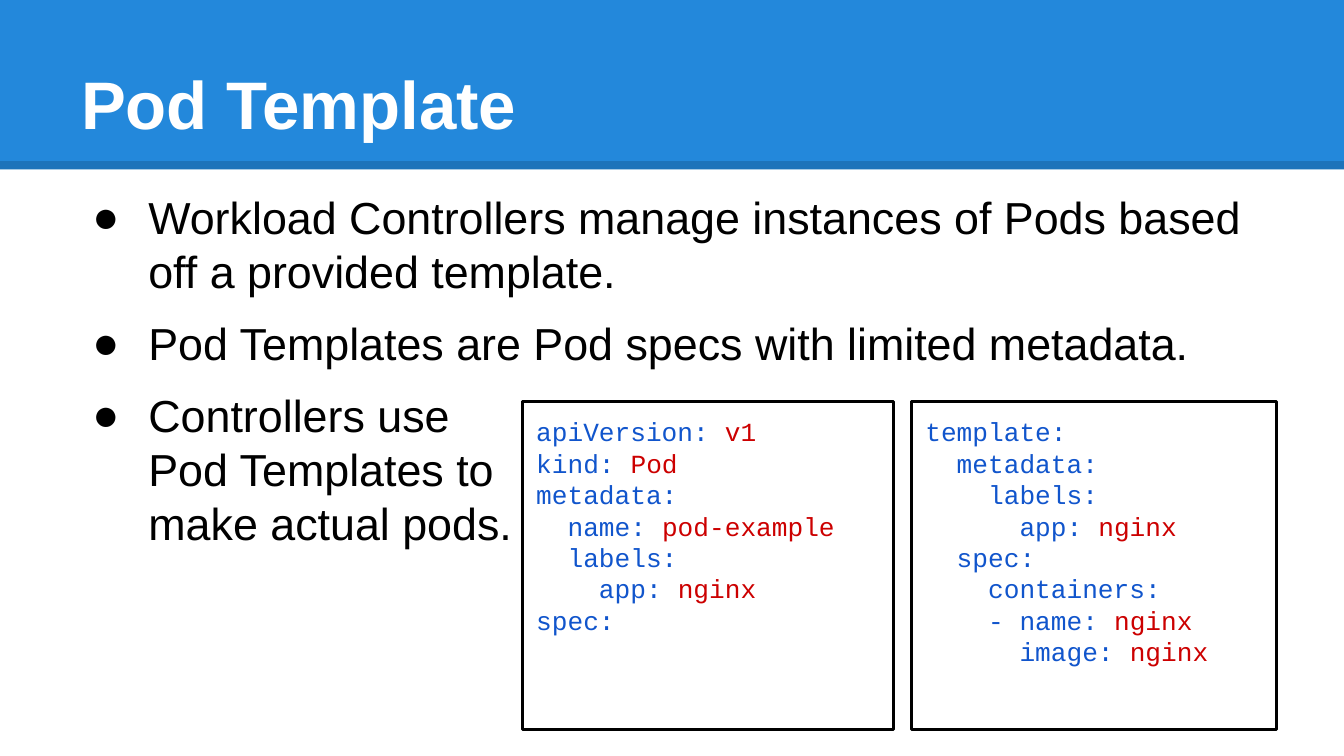
from dataclasses import dataclass

from lxml import etree
from pptx import Presentation
from pptx import util as u
from pptx.dml.color import RGBColor
from pptx.enum import shapes, text
from pptx.oxml import ns

PX = 9525  # EMU per px, 96 px to the inch


@dataclass(frozen=True)
class Theme:
    header: str = "2388DB"
    white: str = "FFFFFF"
    ink: str = "000000"
    key: str = "1155CC"
    value: str = "CC0000"
    sans: str = "Arial"
    mono: str = "Courier New"
    title_size: int = 36
    body_size: int = 24
    code_size: int = 14
    body_leading: float = 28.7
    code_leading: float = 16.8


@dataclass(frozen=True)
class Box:
    left: int
    top: int
    width: int
    height: int

    def emu(self) -> list[u.Emu]:
        return [u.Emu(n * PX) for n in (self.left, self.top, self.width, self.height)]


@dataclass(frozen=True)
class CodePanel:
    box: Box
    code: str


THEME = Theme()
SLIDE = Box(0, 0, 960, 540)
HEADER = Box(0, 0, 960, 121)
RULE_Y = 118
TITLE = Box(48, 22, 864, 90)
BODY = Box(48, 126, 864, 396)
INSET, INDENT, HANG = 10, 48, 40

BULLETS = [
    "Workload Controllers manage instances of Pods based off a provided template.",
    "Pod Templates are Pod specs with limited metadata.",
    "Controllers use\nPod Templates to\nmake actual pods.",
]

PANELS = [
    CodePanel(Box(373, 287, 265, 234), """\
apiVersion: v1
kind: Pod
metadata:
  name: pod-example
  labels:
    app: nginx
spec:"""),
    CodePanel(Box(651, 287, 261, 234), """\
template:
  metadata:
    labels:
      app: nginx
  spec:
    containers:
    - name: nginx
      image: nginx"""),
]


def colour(value: str) -> RGBColor:
    return RGBColor.from_string(value)


def add_text(paragraph, content: str, *, size: int, color: str,
             font: str = THEME.sans, bold: bool = False) -> None:
    """Append formatted text, turning each newline into a line break."""
    for index, line in enumerate(content.split("\n")):
        if index:
            paragraph.add_line_break()
        run = paragraph.add_run()
        run.text = line
        run.font.name, run.font.size, run.font.bold = font, u.Pt(size), bold
        run.font.color.rgb = colour(color)


def prepare_frame(shape, anchor=text.MSO_ANCHOR.TOP):
    frame = shape.text_frame
    frame.word_wrap = True
    frame.vertical_anchor = anchor
    frame.margin_left = frame.margin_right = u.Emu(INSET * PX)
    frame.margin_top = frame.margin_bottom = u.Emu(INSET * PX)
    return frame


def next_paragraph(frame, index: int, leading: float):
    paragraph = frame.add_paragraph() if index else frame.paragraphs[0]
    paragraph.alignment = text.PP_ALIGN.LEFT
    paragraph.line_spacing = u.Pt(leading)
    return paragraph


def add_bullet(paragraph) -> None:
    properties = paragraph._p.get_or_add_pPr()
    properties.set("marL", str(INDENT * PX))
    properties.set("indent", str(-HANG * PX))
    bullet_color = etree.SubElement(properties, ns.qn("a:buClr"))
    etree.SubElement(bullet_color, ns.qn("a:srgbClr"), val=THEME.ink)
    etree.SubElement(properties, ns.qn("a:buFont"), typeface=THEME.sans)
    etree.SubElement(properties, ns.qn("a:buChar"), char="●")


def draw_header(slide) -> None:
    band = slide.shapes.add_shape(shapes.MSO_SHAPE.RECTANGLE, *HEADER.emu())
    band.shadow.inherit = False
    band.fill.solid()
    band.fill.fore_color.rgb = colour(THEME.header)
    band.line.fill.background()

    # Translucent rule along the bottom of the band
    rule = slide.shapes.add_connector(shapes.MSO_CONNECTOR.STRAIGHT,
                                      0, RULE_Y * PX, SLIDE.width * PX, RULE_Y * PX)
    rule.line.width = u.Pt(4.5)
    rule.line.color.rgb = colour(THEME.ink)
    tint = rule._element.spPr.find(".//" + ns.qn("a:srgbClr"))
    etree.SubElement(tint, ns.qn("a:alpha"), val="15000")
    etree.SubElement(rule._element.spPr, ns.qn("a:effectLst"))

    title = slide.shapes.add_textbox(*TITLE.emu())
    frame = prepare_frame(title, text.MSO_ANCHOR.BOTTOM)
    add_text(frame.paragraphs[0], "Pod Template",
             size=THEME.title_size, color=THEME.white, bold=True)


def draw_body(slide) -> None:
    frame = prepare_frame(slide.shapes.add_textbox(*BODY.emu()))
    for index, bullet in enumerate(BULLETS):
        paragraph = next_paragraph(frame, index, THEME.body_leading)
        if index:
            paragraph.space_before = u.Pt(10)
        add_bullet(paragraph)
        add_text(paragraph, bullet, size=THEME.body_size, color=THEME.ink)


def draw_code(slide, panel: CodePanel) -> None:
    shape = slide.shapes.add_shape(shapes.MSO_SHAPE.RECTANGLE, *panel.box.emu())
    shape.shadow.inherit = False
    shape.fill.background()
    shape.line.color.rgb = colour(THEME.ink)
    shape.line.width = u.Pt(1.5)
    frame = prepare_frame(shape)
    for index, line in enumerate(panel.code.split("\n")):
        paragraph = next_paragraph(frame, index, THEME.code_leading)
        key, separator, value = line.partition(": ")
        for part, color in ((key + separator, THEME.key), (value, THEME.value)):
            if part:
                add_text(paragraph, part, size=THEME.code_size, color=color, font=THEME.mono)


def main() -> None:
    presentation = Presentation()
    presentation.slide_width = u.Emu(SLIDE.width * PX)
    presentation.slide_height = u.Emu(SLIDE.height * PX)
    slide = presentation.slides.add_slide(presentation.slide_layouts[6])
    draw_header(slide)
    draw_body(slide)
    for panel in PANELS:
        draw_code(slide, panel)
    presentation.save("out.pptx")


if __name__ == "__main__":
    main()
